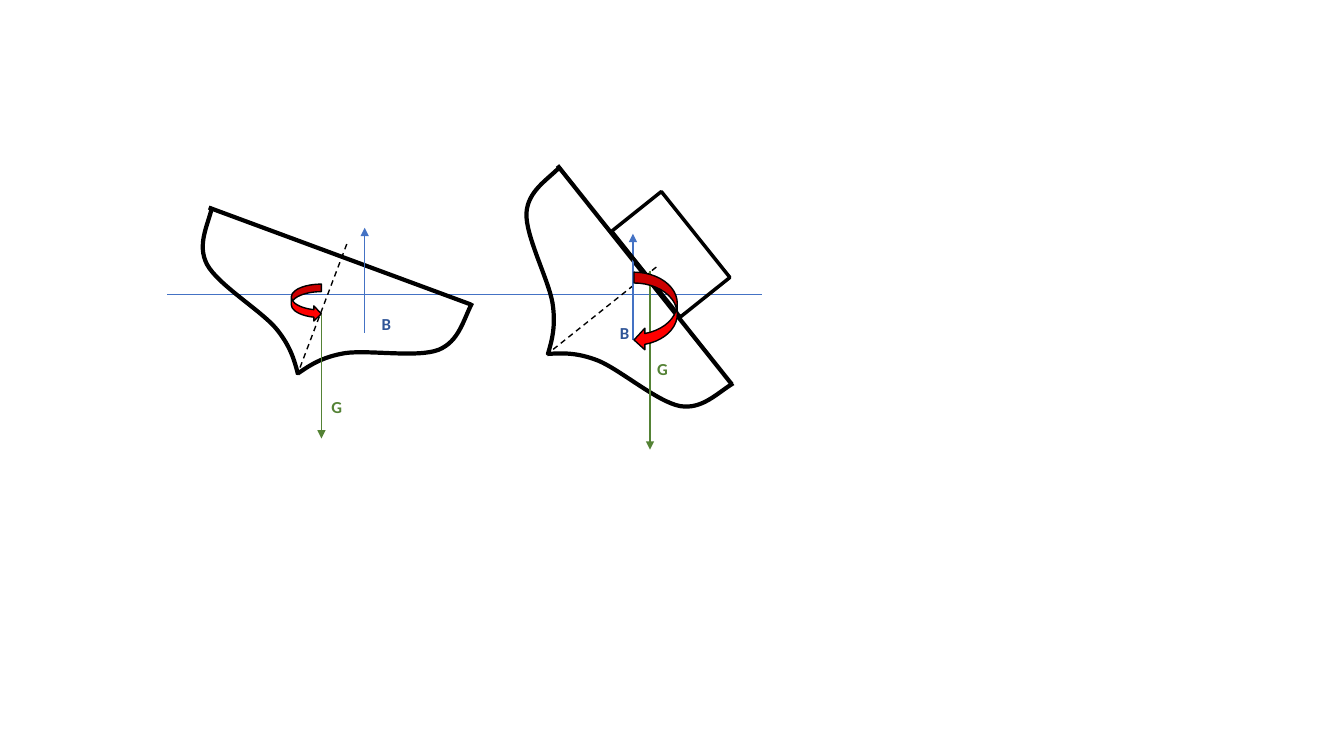
import pptx
import pptx.dml.color
import pptx.enum.dml
import pptx.enum.shapes
import pptx.oxml.ns
import pptx.util
from lxml import etree

Cm = pptx.util.Cm
Pt = pptx.util.Pt
qn = pptx.oxml.ns.qn
SHAPES = pptx.enum.shapes.MSO_SHAPE

BLACK, RED = "000000", "FF0000"
BLUE, DARK_BLUE, GREEN = "4472C4", "2F5597", "548235"

# Upright port half of the hull in cm: a start point, then three cubic curves
HALF_HULL = [(0.03, 0),
             (0.09, 0.49), (0, 1.02), (0.41, 1.4),
             (0.84, 1.78), (2.06, 2.01), (2.59, 2.3),
             (3.1, 2.59), (3.32, 2.9), (3.53, 3.2)]


def rgb(color):
    return pptx.dml.color.RGBColor.from_string(color)


def set_line(item, color, width):
    item.line.color.rgb = rgb(color)
    item.line.width = Pt(width)


def flip(shape):
    shape._element.spPr.find(qn("a:xfrm")).set("flipH", "1")


def add_line(shapes, start, end, color, width, dashed=False, arrow=False):
    line = shapes.add_connector(pptx.enum.shapes.MSO_CONNECTOR.STRAIGHT,
                                *map(Cm, start + end))
    set_line(line, color, width)
    if dashed:
        line.line.dash_style = pptx.enum.dml.MSO_LINE.DASH
    if arrow:
        etree.SubElement(line.line._get_or_add_ln(), qn("a:tailEnd"), type="triangle")
    etree.SubElement(line._element.spPr, qn("a:effectLst"))


def add_label(shapes, text, position, color):
    label = shapes.add_textbox(*map(Cm, position + (0.86, 0.76)))
    label.text_frame.word_wrap = True
    run = label.text_frame.paragraphs[0].add_run()
    run.text = text
    run.font.name = "Calibri"
    run.font.size = Pt(12)
    run.font.bold = True
    run.font.color.rgb = rgb(color)


def add_preset(shapes, kind, box, width, fill=None):
    shape = shapes.add_shape(kind, *map(Cm, box))
    shape.shadow.inherit = False
    if fill:
        shape.fill.solid()
        shape.fill.fore_color.rgb = rgb(fill)
    else:
        shape.fill.background()
    set_line(shape, BLACK, width)
    return shape


def add_half_hull(shapes, position, heel, mirrored):
    points = [(Cm(x), Cm(y)) for x, y in HALF_HULL]
    builder = shapes.build_freeform(*points[0])
    builder.add_line_segments(points[1:], close=False)
    half = builder.convert_to_shape(*map(Cm, position))
    # Turn every three segments into one cubic curve
    outline = half._element.find(".//" + qn("a:path"))
    segments = outline.findall(qn("a:lnTo"))
    for index in range(0, len(segments), 3):
        curve = etree.SubElement(outline, qn("a:cubicBezTo"))
        for segment in segments[index:index + 3]:
            curve.append(segment[0])
            outline.remove(segment)
    half.fill.background()
    half.shadow.inherit = False
    set_line(half, BLACK, 3)
    half.rotation = heel
    if mirrored:
        flip(half)


def add_ship(slide, left, top, heel, halves, deck, axis, buoyancy, gravity,
             labels, turn, cabin=None, clockwise=False):
    shapes = slide.shapes.add_group_shape().shapes

    def at(point):
        return left + point[0], top + point[1]

    # Hull, deck and centre line
    for position, mirrored in zip(halves, (False, True)):
        add_half_hull(shapes, at(position), heel, mirrored)
    add_line(shapes, at(deck[0]), at(deck[1]), BLACK, 3)
    add_line(shapes, at(axis[0]), at(axis[1]), BLACK, 1, dashed=True)

    # Forces: x, start y, end y
    for (x, start, end), color in ((buoyancy, BLUE), (gravity, GREEN)):
        add_line(shapes, at((x, start)), at((x, end)), color, 1, arrow=True)
    for text, position, color in zip("BG", labels, (DARK_BLUE, GREEN)):
        add_label(shapes, text, at(position), color)

    # Deckhouse and turning moment
    if cabin:
        house = add_preset(shapes, SHAPES.RECTANGLE, at(cabin[:2]) + cabin[2:], 2.5)
        house.rotation = heel
    moment = add_preset(shapes, SHAPES.CURVED_RIGHT_ARROW,
                        at(turn[:2]) + turn[2:], 1, RED)
    if clockwise:
        flip(moment)


presentation = pptx.Presentation()
presentation.slide_width = Cm(33.87)
presentation.slide_height = Cm(19.05)
slide = presentation.slides.add_slide(presentation.slide_layouts[6])

# Waterline
add_line(slide.shapes, (4.22, 7.42), (19.2, 7.42), BLUE, 0.5)

# Stable ship with a righting moment
add_ship(slide, 4.6, 5.2, heel=20.4,
         halves=[(0.05, 0.52), (3.35, 1.73)],
         deck=[(0.66, 0.03), (7.26, 2.47)],
         axis=[(4.14, 0.95), (2.89, 4.25)],
         buoyancy=(4.59, 3.18, 0.54), gravity=(3.5, 2.75, 5.85),
         labels=[(4.77, 2.57), (3.5, 4.68)],
         turn=(2.74, 1.96, 0.76, 0.94))

# Top-heavy ship with a capsizing moment
add_ship(slide, 12.1, 4.1, heel=51.4,
         halves=[(0.09, 0.85), (2.28, 3.6)],
         deck=[(1.95, 0.07), (6.34, 5.58)],
         axis=[(4.44, 2.63), (1.67, 4.84)],
         buoyancy=(3.85, 4.46, 1.79), gravity=(4.28, 2.73, 7.23),
         labels=[(3.27, 3.9), (4.21, 4.82)],
         turn=(3.88, 2.76, 1.09, 1.98),
         cabin=(3.42, 1.51, 2.77, 1.6), clockwise=True)

presentation.save("out.pptx")
